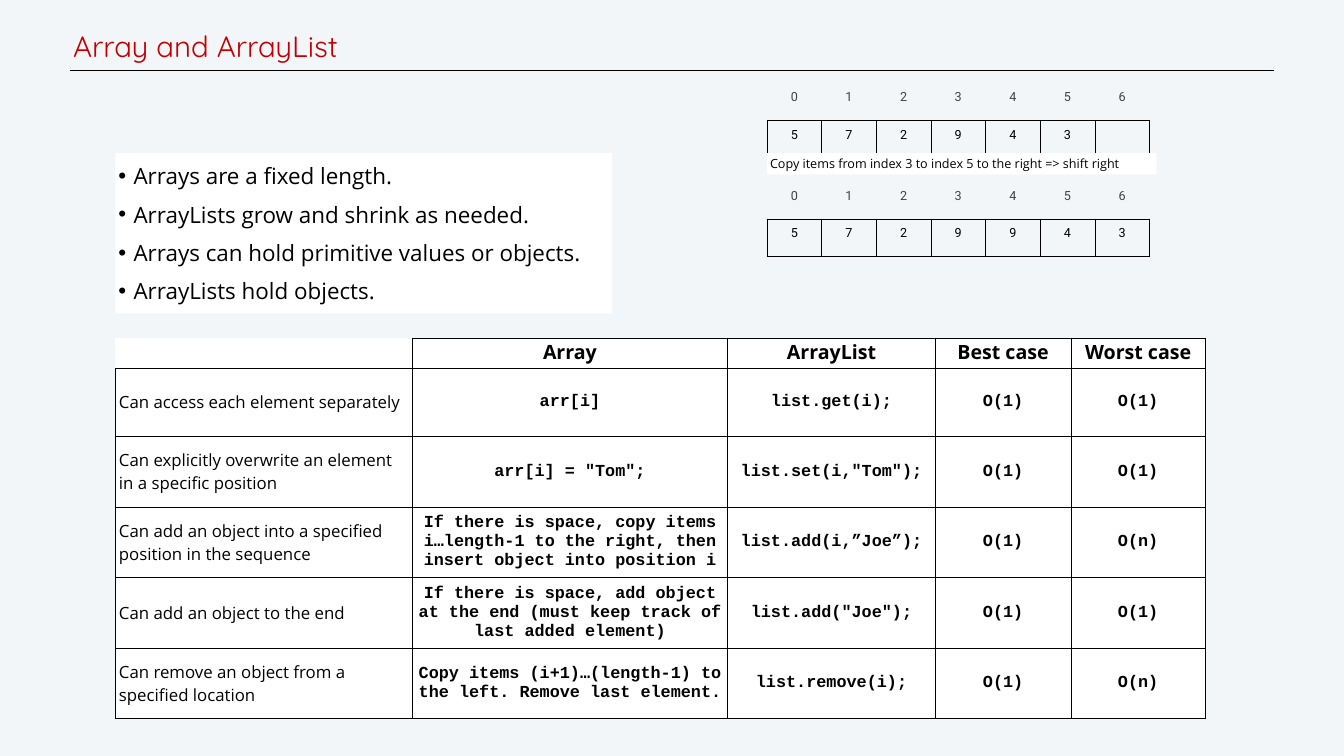
"""Build a slide that compares Array and ArrayList operations."""
import pptx
import pptx.dml.color
import pptx.enum.shapes
import pptx.enum.text
import pptx.oxml
import pptx.oxml.ns
import pptx.util

BACKGROUND = pptx.dml.color.RGBColor(0xF3, 0xF6, 0xF9)
WHITE = pptx.dml.color.RGBColor(0xFF, 0xFF, 0xFF)
BLACK = pptx.dml.color.RGBColor(0x00, 0x00, 0x00)
GREY = pptx.dml.color.RGBColor(0x3E, 0x42, 0x47)
RED = pptx.dml.color.RGBColor(0xC0, 0x00, 0x00)

LEFT = pptx.enum.text.PP_ALIGN.LEFT
CENTER = pptx.enum.text.PP_ALIGN.CENTER
TOP = pptx.enum.text.MSO_ANCHOR.TOP
MIDDLE = pptx.enum.text.MSO_ANCHOR.MIDDLE
NAMESPACE = pptx.oxml.ns.nsdecls("a")

presentation = pptx.Presentation()
presentation.slide_width = pptx.util.Inches(26.67)
presentation.slide_height = pptx.util.Inches(15)
COLUMN = presentation.slide_width / 100
ROW = presentation.slide_height / 100


def place(left, top, width, height):
    lengths = (left * COLUMN, top * ROW, width * COLUMN, height * ROW)
    return [pptx.util.Emu(round(length)) for length in lengths]


def write(paragraph, text, size, name, color, bold=False):
    font_format = {"size": pptx.util.Pt(size), "name": name, "bold": bold}
    run = paragraph.add_run()
    run.text = text
    for attribute, value in font_format.items():
        setattr(run.font, attribute, value)
    run.font.color.rgb = color


slide = presentation.slides.add_slide(presentation.slide_layouts[6])
slide.background.fill.solid()
slide.background.fill.fore_color.rgb = BACKGROUND

left, top, right, bottom = place(5.21, 9.33, 94.79, 9.33)
rule = slide.shapes.add_connector(
    pptx.enum.shapes.MSO_CONNECTOR.STRAIGHT, left, top, right, bottom)
rule.line.color.rgb = BLACK
rule.line.width = pptx.util.Pt(1)
rule._element.spPr.append(pptx.oxml.parse_xml(f"<a:effectLst {NAMESPACE}/>"))

DIGITS = list("0123456")
arrays = [
    (11, ["5", "7", "2", "9", "4", "3", ""]),
    (24, ["5", "7", "2", "9", "9", "4", "3"]),
]
comparison = [
    ["", "Array", "ArrayList", "Best case", "Worst case"],
    ["Can access each element separately",
     "arr[i]", "list.get(i);", "O(1)", "O(1)"],
    ["Can explicitly overwrite an element in a specific position",
     'arr[i] = "Tom";', 'list.set(i,"Tom");', "O(1)", "O(1)"],
    ["Can add an object into a specified position in the sequence",
     "If there is space, copy items i…length-1 to the right, "
     "then insert object into position i",
     "list.add(i,”Joe”);", "O(1)", "O(n)"],
    ["Can add an object to the end",
     "If there is space, add object at the end "
     "(must keep track of last added element)",
     'list.add("Joe");', "O(1)", "O(1)"],
    ["Can remove an object from a specified location",
     "Copy items (i+1)…(length-1) to the left. Remove last element.",
     "list.remove(i);", "O(1)", "O(n)"],
]
tables = [(8.59, 44.73, [22.08, 23.47, 15.45, 10.09, 10.01],
           [3.93, 9.07] + [9.33] * 4, comparison)]
for table_top, values in arrays:
    tables.append((57.07, table_top, [28.46 / 7] * 7, [4.97] * 2,
                   [DIGITS, values]))

for left, top, widths, heights, contents in tables:
    table = slide.shapes.add_table(
        len(heights), len(widths),
        *place(left, top, sum(widths), sum(heights))).table
    table.first_row = table.horz_banding = False
    for column, width in zip(table.columns, widths):
        column.width = pptx.util.Emu(round(width * COLUMN))
    for row, height in zip(table.rows, heights):
        row.height = pptx.util.Emu(round(height * ROW))
    is_comparison = contents is comparison
    for row_index, texts in enumerate(contents):
        for column_index, text in enumerate(texts):
            cell = table.cell(row_index, column_index)
            is_header = row_index == 0
            sides = "LRTB"
            align, anchor = CENTER, TOP
            inset = 0 if is_comparison else 0.14
            if not is_comparison:
                font = (18, "Roboto", GREY if is_header else BLACK)
                sides = "B" if is_header else sides
            elif is_header:
                font = (28, "Open Sans", BLACK, True)
                sides = sides if column_index else "RB"
            else:
                anchor = MIDDLE
                font = (24, "Courier New", BLACK, True)
                if column_index == 0:
                    align = LEFT
                    font = (24, "Open Sans", BLACK)
            properties = cell._tc.get_or_add_tcPr()
            for side in "LRTB":
                paint = "<a:noFill/>"
                if side in sides:
                    paint = f'<a:solidFill><a:srgbClr val="{BLACK}"/></a:solidFill>'
                properties.append(pptx.oxml.parse_xml(
                    f'<a:ln{side} {NAMESPACE} w="12700">{paint}</a:ln{side}>'))
            if is_comparison:
                cell.fill.solid()
                cell.fill.fore_color.rgb = WHITE
            else:
                cell.fill.background()
            cell_format = {
                "vertical_anchor": anchor,
                "margin_left": pptx.util.Inches(0.07),
                "margin_right": pptx.util.Inches(0.07),
                "margin_top": pptx.util.Inches(inset),
                "margin_bottom": pptx.util.Inches(inset),
            }
            for attribute, value in cell_format.items():
                setattr(cell, attribute, value)
            paragraph = cell.text_frame.paragraphs[0]
            paragraph.alignment = align
            if text:
                write(paragraph, text, *font)

bullets = [
    "Arrays are a fixed length.",
    "ArrayLists grow and shrink as needed.",
    "Arrays can hold primitive values or objects.",
    "ArrayLists hold objects.",
]
caption = "Copy items from index 3 to index 5 to the right => shift right"
boxes = [
    ((5.21, 2.8, 84.81, 6.6), ["Array and ArrayList"],
     (42, "Quicksand", RED)),
    ((8.59, 20.27, 36.93, 21.2), bullets, (32, "Open Sans", BLACK)),
    ((57.07, 20.27, 28.98, 2.8), [caption], (18, "Open Sans", BLACK)),
]
for box, lines, font in boxes:
    is_title = font[2] == RED
    if is_title:
        shape = slide.shapes.add_textbox(*place(*box))
    else:
        shape = slide.shapes.add_shape(
            pptx.enum.shapes.MSO_SHAPE.RECTANGLE, *place(*box))
        shape.shadow.inherit = False
        shape.fill.solid()
        shape.fill.fore_color.rgb = WHITE
        shape.line.fill.background()
    frame = shape.text_frame
    frame_format = {"word_wrap": True, "vertical_anchor": MIDDLE}
    for side in ("left", "right", "top", "bottom"):
        frame_format[f"margin_{side}"] = pptx.util.Inches(0.06)
    for attribute, value in frame_format.items():
        setattr(frame, attribute, value)
    for index, line in enumerate(lines):
        paragraph = frame.add_paragraph() if index else frame.paragraphs[0]
        paragraph.alignment = LEFT
        if is_title:
            paragraph.line_spacing = pptx.util.Pt(50)
        if index:
            paragraph.space_before = pptx.util.Pt(16.4)
        if lines is bullets:
            properties = paragraph._p.get_or_add_pPr()
            indent = pptx.util.Inches(0.3)
            properties.set("marL", str(indent))
            properties.set("indent", str(-indent))
            properties.append(pptx.oxml.parse_xml(
                f'<a:buFont {NAMESPACE} typeface="Arial"/>'))
            properties.append(pptx.oxml.parse_xml(
                f'<a:buChar {NAMESPACE} char="•"/>'))
        write(paragraph, line, *font)

presentation.save("out.pptx")
